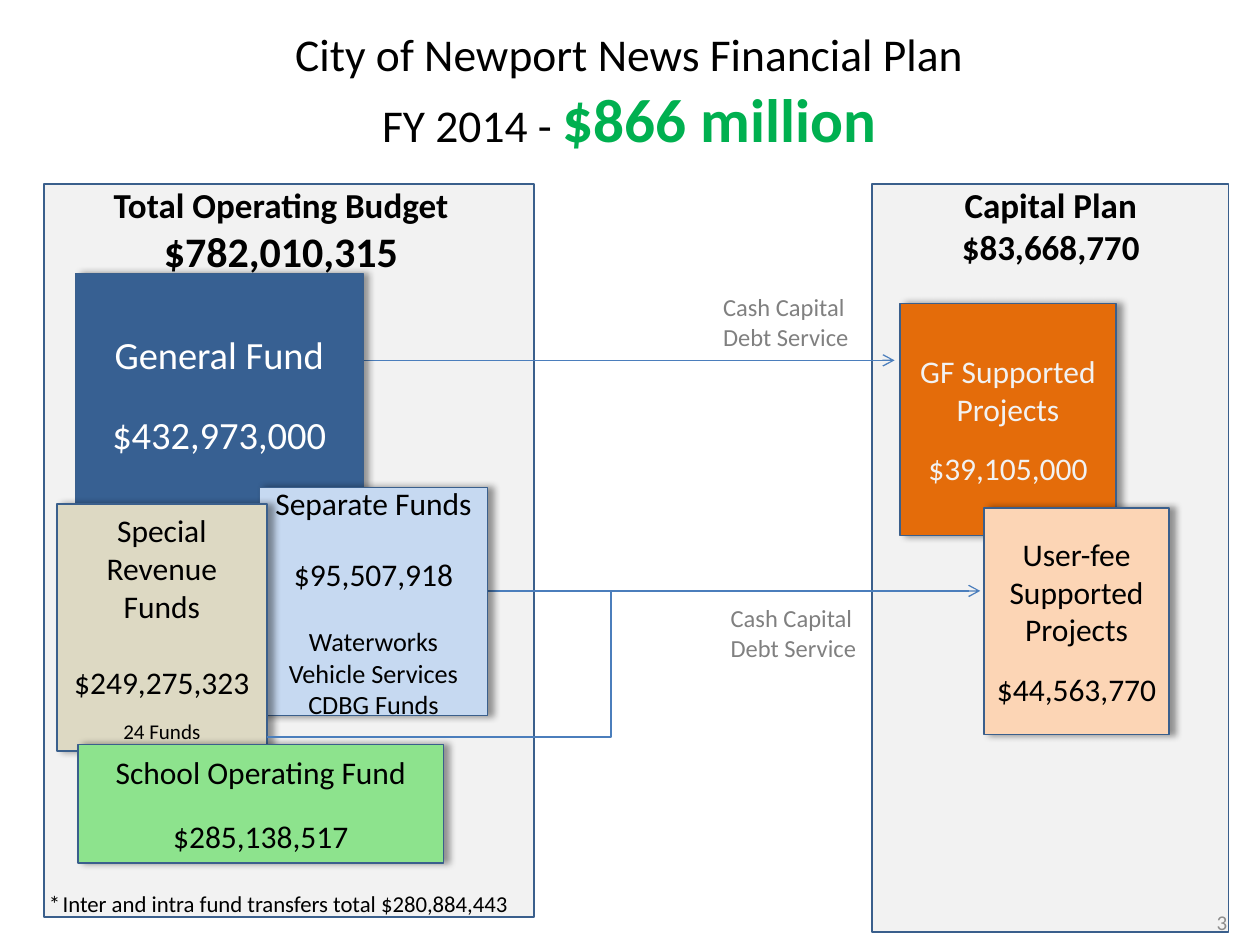
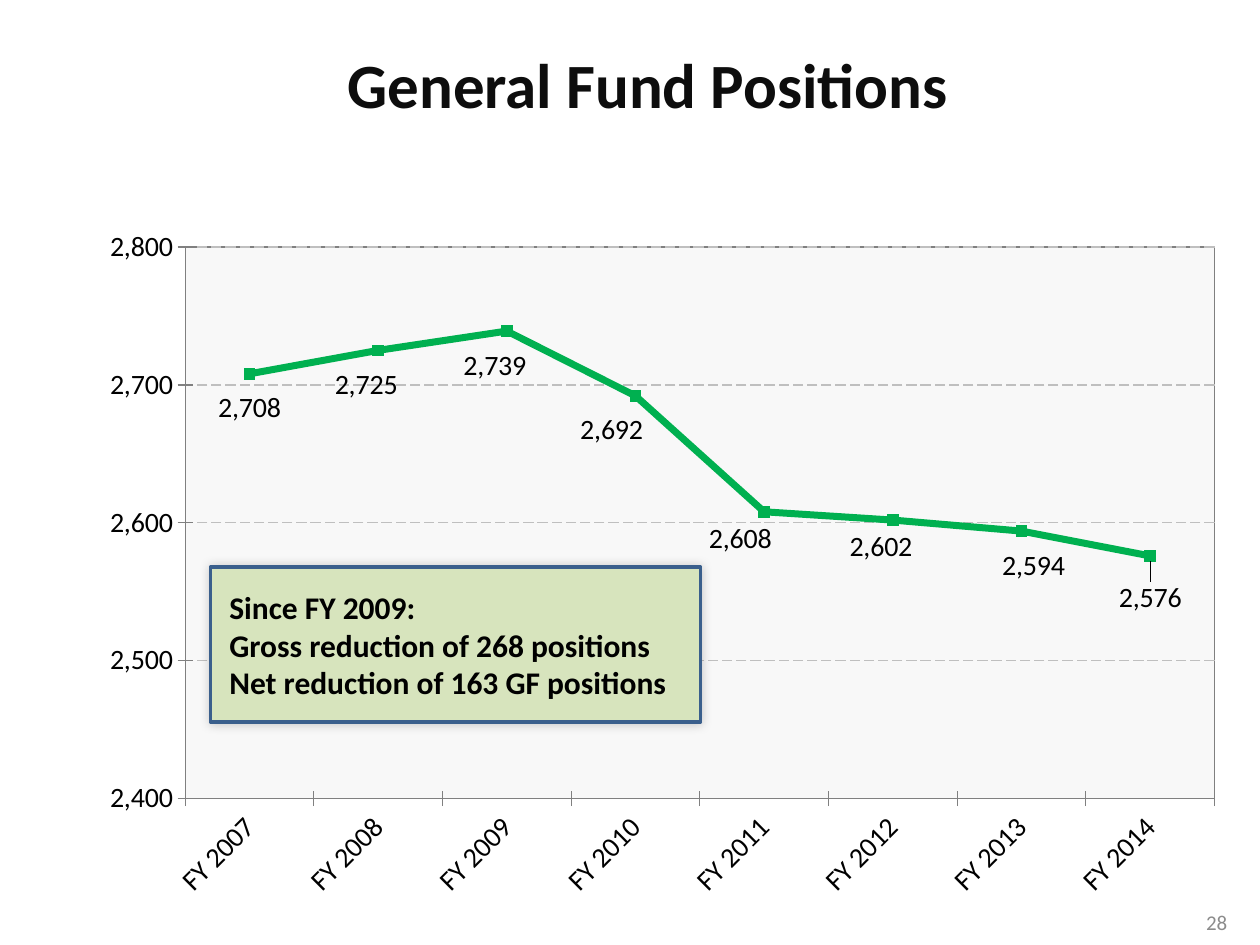
from collections import namedtuple
from dataclasses import dataclass

from lxml import etree
from pptx import Presentation
from pptx.chart.data import CategoryChartData
from pptx.dml.color import RGBColor
from pptx.enum.chart import XL_CHART_TYPE, XL_LABEL_POSITION, XL_MARKER_STYLE, XL_TICK_MARK
from pptx.enum.dml import MSO_LINE
from pptx.enum.shapes import MSO_CONNECTOR, MSO_SHAPE
from pptx.enum.text import MSO_ANCHOR, PP_ALIGN
from pptx.oxml import parse_xml
from pptx.oxml.ns import nsdecls, qn
from pptx.util import Inches, Pt

RECT = MSO_SHAPE.RECTANGLE
STRAIGHT, ELBOW = MSO_CONNECTOR.STRAIGHT, MSO_CONNECTOR.ELBOW
LEFT, CENTER, RIGHT = PP_ALIGN.LEFT, PP_ALIGN.CENTER, PP_ALIGN.RIGHT
TOP, MIDDLE = MSO_ANCHOR.TOP, MSO_ANCHOR.MIDDLE
LINE_MARKERS, SQUARE = XL_CHART_TYPE.LINE_MARKERS, XL_MARKER_STYLE.SQUARE
BELOW, CROSS, LONG_DASH = XL_LABEL_POSITION.BELOW, XL_TICK_MARK.CROSS, MSO_LINE.LONG_DASH

COLUMNS, ROWS = 100, 75
LINE_HEIGHT = 1.22

Shadow = namedtuple("Shadow", "alpha blur distance angle")
# A line of text: its size in points and the height of the gap above it
Line = namedtuple("Line", "text size gap bold", defaults=(0, False))


@dataclass(frozen=True)
class Theme:
    font: str = "Calibri"
    black: str = "000000"
    ink: str = "0D0D0D"
    white: str = "FFFFFF"
    muted: str = "808080"
    page: str = "8C8C8C"
    panel: str = "F2F2F2"
    outline: str = "3A5F8C"
    arrow: str = "4B7EBC"
    accent: str = "00B050"
    grid: str = "BFBFBF"
    navy: str = "376092"
    sky: str = "C6D9F1"
    sand: str = "DDD9C3"
    green: str = "8DE38D"
    orange: str = "E46C0A"
    peach: str = "FCD5B5"
    olive: str = "D7E4BD"
    title: int = 36
    million: int = 35
    subtitle: int = 26
    total: int = 24
    fund: int = 22
    heading: int = 20
    body: int = 18
    axis: int = 16
    list: int = 15
    label: int = 14
    note: int = 13
    small: int = 12
    sliver: int = 6
    card_shadow: Shadow = Shadow(40, 4, 3, 0)
    note_shadow: Shadow = Shadow(20, 6, 0, 315)


T = Theme()


def rgb(color):
    return RGBColor.from_string(color)


class Deck:
    """Draws on the current slide; places are columns and rows of the grid."""

    def __init__(self, theme):
        self.theme = theme
        self.prs = Presentation()
        self.prs.slide_width, self.prs.slide_height = Inches(10), Inches(7.5)
        self.shapes = None

    def new_slide(self):
        layout = self.prs.slide_layouts[6]
        self.shapes = self.prs.slides.add_slide(layout).shapes

    def place(self, *lengths):
        """Turn alternating columns and rows into slide units."""
        column = self.prs.slide_width / COLUMNS
        row = self.prs.slide_height / ROWS
        return [int(n * (row if i % 2 else column)) for i, n in enumerate(lengths)]

    def style(self, font, size, color, bold=False):
        font.name, font.size, font.bold = self.theme.font, Pt(size), bold
        font.color.rgb = rgb(color)

    def set_lines(self, tf, lines, color, align):
        tf.text = "\n".join(line.text for line in lines)
        for p, line in zip(tf.paragraphs, lines):
            p.alignment = align
            if line.gap:
                p.space_before = Pt(round(line.gap * LINE_HEIGHT, 1))
            for r in p.runs:
                self.style(r.font, line.size, color, line.bold)

    def add_run(self, p, text, size, color, bold=False):
        r = p.add_run()
        r.text = text
        self.style(r.font, size, color, bold)

    def text(self, at, lines, color=T.black, align=LEFT, anchor=TOP):
        tf = self.shapes.add_textbox(*self.place(*at)).text_frame
        tf.word_wrap = anchor == MIDDLE
        tf.vertical_anchor = anchor
        self.set_lines(tf, lines, color, align)
        return tf

    def box(self, at, fill, shadow=None, weight=1):
        sp = self.shapes.add_shape(RECT, *self.place(*at))
        sp.fill.solid()
        sp.fill.fore_color.rgb = rgb(fill)
        sp.line.color.rgb = rgb(self.theme.outline)
        sp.line.width = Pt(weight)
        sp.shadow.inherit = False
        if shadow:
            effects = sp._element.spPr.find(qn("a:effectLst"))
            effects.append(parse_xml(
                f'<a:outerShdw {nsdecls("a")} blurRad="{Pt(shadow.blur)}" '
                f'dist="{Pt(shadow.distance)}" dir="{shadow.angle * 60000}" rotWithShape="0">'
                f'<a:srgbClr val="{self.theme.black}"><a:alpha val="{shadow.alpha * 1000}"/>'
                '</a:srgbClr></a:outerShdw>'))
        return sp

    def card(self, at, fill, lines, color=T.black):
        tf = self.box(at, fill, self.theme.card_shadow).text_frame
        tf.vertical_anchor = MIDDLE
        self.set_lines(tf, lines, color, CENTER)

    def note(self, at, lines):
        sp = self.box(at, self.theme.olive, self.theme.note_shadow, weight=2)
        tf = sp.text_frame
        tf.margin_left, tf.vertical_anchor = Inches(0.15), MIDDLE
        self.set_lines(tf, lines, self.theme.black, LEFT)

    def connector(self, kind, ends, arrow=False):
        s = self.shapes.add_connector(kind, *self.place(*ends))
        s.line.color.rgb = rgb(self.theme.arrow)
        s.line.width = Pt(0.75)
        if arrow:
            etree.SubElement(s.line._get_or_add_ln(), qn("a:tailEnd"), type="arrow")
        etree.SubElement(s._element.spPr, qn("a:effectLst"))

    def page_number(self, number):
        self.text((75.1, 71.2, 23.3, 4), [Line(number, self.theme.small)],
                  self.theme.page, RIGHT, MIDDLE)

    def line_chart(self, at, categories, values, scale, plot, nudges):
        """Scale is low, high, step; nudges shift each label by shares of the chart."""
        theme = self.theme
        data = CategoryChartData(number_format="#,##0")
        data.categories = categories
        data.add_series("Series 1", values)
        chart = self.shapes.add_chart(LINE_MARKERS, *self.place(*at), data).chart
        chart.has_legend = chart.has_title = False
        self.style(chart.font, theme.body, theme.black)

        for axis in (chart.category_axis, chart.value_axis):
            axis.major_tick_mark = CROSS
            axis.format.line.color.rgb = rgb(theme.muted)
            self.style(axis.tick_labels.font, theme.axis, theme.black)
        chart.category_axis._element.txPr.bodyPr.set("rot", str(-45 * 60000))
        axis = chart.value_axis
        axis.minimum_scale, axis.maximum_scale, axis.major_unit = scale
        axis.tick_labels.number_format = "#,##0"
        axis.tick_labels.number_format_is_linked = False
        line = axis.major_gridlines.format.line
        line.color.rgb, line.width, line.dash_style = rgb(theme.grid), Pt(0.75), LONG_DASH

        series = chart.plots[0].series[0]
        chart.plots[0].vary_by_categories = series.smooth = False
        series.format.line.color.rgb = rgb(theme.accent)
        series.format.line.width = Pt(4)
        marker = series.marker
        marker.style, marker.size = SQUARE, 6
        marker.format.fill.solid()
        marker.format.fill.fore_color.rgb = rgb(theme.accent)
        marker.format.line.color.rgb = rgb(theme.accent)

        labels = series.data_labels
        labels.show_value, labels.position = True, BELOW
        labels.number_format, labels.number_format_is_linked = "#,##0", False
        self.style(labels.font, theme.axis, theme.black)
        for i, (x, y) in enumerate(nudges):
            label = series.points[i].data_label
            self.style(label.font, theme.axis, theme.black)
            label.position = BELOW
            idx = series._element.findall(f'.//{qn("c:dLbl")}')[i].find(qn("c:idx"))
            idx.addnext(self.chart_layout(x=x, y=y))
        self.plot_area(chart, plot)

    def chart_layout(self, target="", **shares):
        """Manual layout; a target also fixes the edges instead of an offset."""
        tags = f'<c:layoutTarget val="{target}"/>' if target else ""
        if target:
            tags += '<c:xMode val="edge"/><c:yMode val="edge"/>'
        tags += "".join(f'<c:{name} val="{n}"/>' for name, n in shares.items())
        return parse_xml(f'<c:layout {nsdecls("c")}><c:manualLayout>{tags}'
                         '</c:manualLayout></c:layout>')

    def plot_area(self, chart, plot):
        area = chart._chartSpace.find(f'.//{qn("c:plotArea")}')
        for old in area.findall(qn("c:layout")):
            area.remove(old)
        area.insert(0, self.chart_layout("inner", **dict(zip("xywh", plot))))
        area.append(parse_xml(
            f'<c:spPr {nsdecls("c", "a")}><a:solidFill><a:srgbClr val="{self.theme.panel}">'
            '<a:alpha val="51000"/></a:srgbClr></a:solidFill><a:ln w="9525"><a:solidFill>'
            f'<a:srgbClr val="{self.theme.muted}"/></a:solidFill></a:ln></c:spPr>'))


def financial_plan(deck):
    deck.new_slide()
    deck.box((69.2, 14.6, 28.3, 59.4), T.panel)
    deck.box((3.5, 14.6, 38.9, 58.2), T.panel)
    for column, row in ((56.4, 22.7), (57, 47.4)):
        deck.text((column, row, 12.1, 5.7),
                  [Line("Cash Capital", T.label), Line("Debt Service", T.label)], T.muted)
    for at, heading, amount, size in (
            ((7.9, 14.1, 28.8, 8.4), "Total Operating Budget", "$782,010,315", T.total),
            ((75.3, 14.1, 16.2, 7.7), "Capital Plan", "$83,668,770", T.heading)):
        deck.text(at, [Line(heading, T.heading, bold=True), Line(amount, size, bold=True)],
                  align=CENTER)

    deck.card((71.4, 24.1, 17.2, 18.4), T.orange,
              [Line("GF Supported Projects", T.body), Line("$39,105,000", T.body, 10)], T.panel)
    deck.connector(STRAIGHT, (25.2, 28.6, 71, 28.6), arrow=True)
    deck.connector(STRAIGHT, (35.7, 46.9, 77.8, 46.9), arrow=True)
    deck.card((6, 21.7, 22.8, 19.1), T.navy,
              [Line("General Fund", T.fund), Line("$432,973,000", T.fund, 16)], T.white)
    deck.card((20.6, 38.7, 18.1, 18.1), T.sky,
              [Line("Separate Funds", T.body), Line("$95,507,918", T.body, 16),
               Line("Waterworks", T.list, 15), Line("Vehicle Services", T.list),
               Line("CDBG Funds", T.list)])
    deck.card((78.1, 40.3, 14.7, 18), T.peach,
              [Line("User-fee Supported Projects", T.body), Line("$44,563,770", T.body, 10)])
    deck.card((4.5, 40, 16.7, 19.6), T.sand,
              [Line("Special Revenue Funds", T.body), Line("$249,275,323", T.body, 18),
               Line("24 Funds", T.small, 8)])

    title = deck.text((22.2, 1.6, 55.5, 11.3),
                      [Line("City of Newport News Financial Plan", T.subtitle),
                       Line("FY 2014 - ", T.subtitle)], align=CENTER)
    deck.add_run(title.paragraphs[1], "$866 million", T.million, T.accent, bold=True)
    footnote = deck.text((2.9, 70.1, 39, 3.2), [Line("*", T.note)]).paragraphs[0]
    deck.add_run(footnote, " ", T.sliver, T.black)
    deck.add_run(footnote, "Inter and intra fund transfers total $280,884,443", T.note, T.black)
    deck.card((6.2, 59.1, 29, 9.4), T.green,
              [Line("School Operating Fund", T.body), Line("$285,138,517", T.body, 12)])
    deck.connector(ELBOW, (21.2, 58.5, 75.8, 46.9))
    deck.page_number("3")


def fund_positions(deck):
    deck.new_slide()
    deck.text((26.6, 3.1, 50.2, 7.1), [Line("General Fund Positions", T.title, bold=True)], T.ink)
    deck.line_chart(
        (3.3, 14.2, 95, 60),
        [f"FY {year}" for year in range(2007, 2015)],
        (2708, 2725, 2739, 2692, 2608, 2602, 2594, 2576),
        scale=(2400, 2800, 100),
        plot=(0.12, 0.09, 0.86, 0.73),
        nudges=((0, 0.01), (-0.01, 0.01), (-0.01, 0.01), (-0.02, 0.01),
                (-0.02, 0), (-0.01, 0), (0.01, 0.01), (0, 0.02)))
    deck.note((16.7, 45, 38.9, 12.3),
              [Line(text, T.body, bold=True) for text in (
                  "Since FY 2009:", "Gross reduction of 268 positions",
                  "Net reduction of 163 GF positions")])
    deck.page_number("28")


def main():
    deck = Deck(T)
    financial_plan(deck)
    fund_positions(deck)
    deck.prs.save("out.pptx")


if __name__ == "__main__":
    main()
